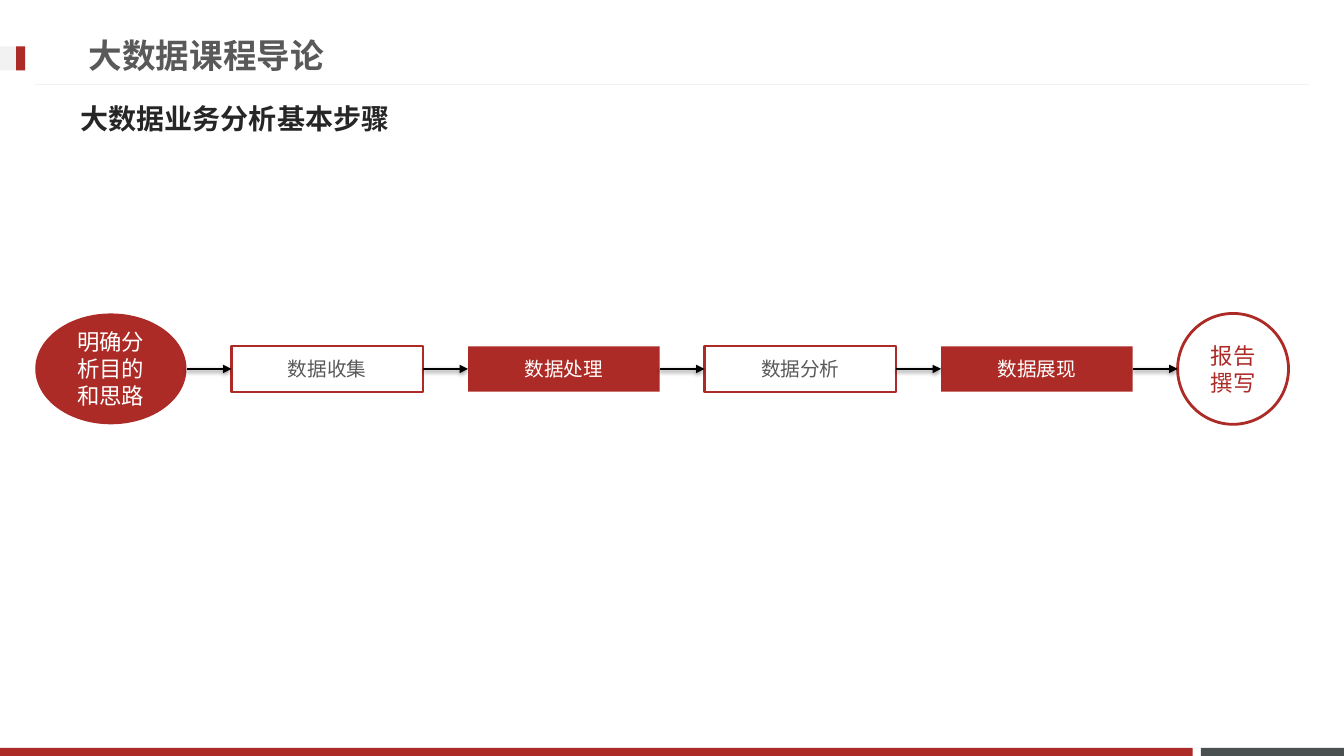
import lxml.etree
import pptx
import pptx.dml.color
import pptx.enum.shapes
import pptx.enum.text
import pptx.oxml
import pptx.oxml.ns
import pptx.util

Inches = pptx.util.Inches
Pt = pptx.util.Pt
Shapes = pptx.enum.shapes.MSO_SHAPE
Align = pptx.enum.text.PP_ALIGN
qn = pptx.oxml.ns.qn

RED, GREY, DARK, SLATE = "AD2B26", "595959", "262626", "49504F"
PALE, WHITE, BLACK = "F2F2F2", "FFFFFF", "000000"
ARROW_SHADOW = (
    f'<a:effectLst {pptx.oxml.ns.nsdecls("a")}>'
    '<a:outerShdw blurRad="40000" dist="20000" dir="5400000" rotWithShape="0">'
    '<a:srgbClr val="000000"><a:alpha val="38000"/></a:srgbClr>'
    '</a:outerShdw></a:effectLst>'
)


def colour(value):
    return pptx.dml.color.RGBColor.from_string(value)


class SlideBuilder:
    """Draws styled elements on the current page."""

    def __init__(self, page, font_name="Arial"):
        self.page = page
        self.font_name = font_name

    def set_text(self, box, text, size, ink, align, bold=False):
        frame = box.text_frame
        frame.text = text
        frame.word_wrap = True
        frame.auto_size = pptx.enum.text.MSO_AUTO_SIZE.NONE
        frame.vertical_anchor = pptx.enum.text.MSO_ANCHOR.MIDDLE
        para = frame.paragraphs[0]
        para.alignment = align
        para.space_before = Pt(0)
        if box.is_placeholder:
            properties = para._p.get_or_add_pPr()
            properties.set("marL", "0")
            properties.set("indent", "0")
            lxml.etree.SubElement(properties, qn("a:buNone"))
        para.font.name = self.font_name
        para.font.size = Pt(size)
        para.font.bold = bold
        para.font.color.rgb = colour(ink)

    def heading(self, index, place, text, size, ink):
        box = self.page.placeholders[index]
        box.left, box.top, box.width, box.height = map(Inches, place)
        self.set_text(box, text, size, ink, Align.LEFT, bold=True)

    def shape(self, kind, place, fill, line=None, line_width=1.5):
        box = self.page.shapes.add_shape(kind, *map(Inches, place))
        box.shadow.inherit = False
        box.fill.solid()
        box.fill.fore_color.rgb = colour(fill)
        if line:
            box.line.color.rgb = colour(line)
            box.line.width = Pt(line_width)
        else:
            box.line.fill.background()
        return box

    def step(self, kind, place, text, size, ink, fill, line=None, line_width=1.5):
        box = self.shape(kind, place, fill, line, line_width)
        self.set_text(box, text, size, ink, Align.CENTER)

    def line(self, start, end, y, ink, width, arrow=False):
        connector = self.page.shapes.add_connector(
            pptx.enum.shapes.MSO_CONNECTOR.STRAIGHT,
            Inches(start), Inches(y), Inches(end), Inches(y))
        connector.line.color.rgb = colour(ink)
        connector.line.width = Pt(width)
        properties = connector._element.spPr
        if arrow:
            lxml.etree.SubElement(
                properties.find(qn("a:ln")), qn("a:tailEnd"), type="triangle")
            properties.append(pptx.oxml.parse_xml(ARROW_SHADOW))
        else:
            lxml.etree.SubElement(properties, qn("a:effectLst"))


def main():
    deck = pptx.Presentation()
    deck.slide_width, deck.slide_height = Inches(13.33), Inches(7.5)
    builder = SlideBuilder(deck.slides.add_slide(deck.slide_layouts[1]))

    for place, fill in (
        ((11.91, 7.42, 1.42, 0.08), SLATE),
        ((0, 7.42, 11.83, 0.08), RED),
        ((0, 0.46, 0.25, 0.24), PALE),
        ((0.16, 0.46, 0.09, 0.24), RED),
    ):
        builder.shape(Shapes.RECTANGLE, place, fill)
    builder.line(0.35, 12.98, 0.84, PALE, 0.75)
    builder.heading(0, (0.78, 0.26, 9.59, 0.57), "大数据课程导论", 24, GREY)
    builder.heading(1, (0.7, 0.89, 11.7, 0.57), "大数据业务分析基本步骤", 20, DARK)

    stages = ("数据收集", "数据处理", "数据分析", "数据展现")
    middle, round_height = 3.66, 1.1
    start_left, start_width, end_left = 0.35, 1.5, 11.68
    stage_width, stage_height = 1.9, 0.45
    flow_left = start_left + start_width
    gap = (end_left - flow_left - len(stages) * stage_width) / (len(stages) + 1)
    pitch = stage_width + gap

    round_top = middle - round_height / 2
    builder.step(Shapes.OVAL, (start_left, round_top, start_width, round_height),
                 "明确分析目的和思路", 16, WHITE, RED)
    for index, name in enumerate(stages):
        place = (flow_left + gap + index * pitch, middle - stage_height / 2,
                 stage_width, stage_height)
        style = (WHITE, RED) if index % 2 else (GREY, WHITE, RED)
        builder.step(Shapes.RECTANGLE, place, name, 14, *style)
    builder.step(Shapes.OVAL, (end_left, round_top, round_height, round_height),
                 "报告撰写", 16, RED, WHITE, RED, 2)
    for index in range(len(stages) + 1):
        left = flow_left + index * pitch
        builder.line(left, left + gap, middle, BLACK, 2, arrow=True)

    deck.save("out.pptx")


if __name__ == "__main__":
    main()
